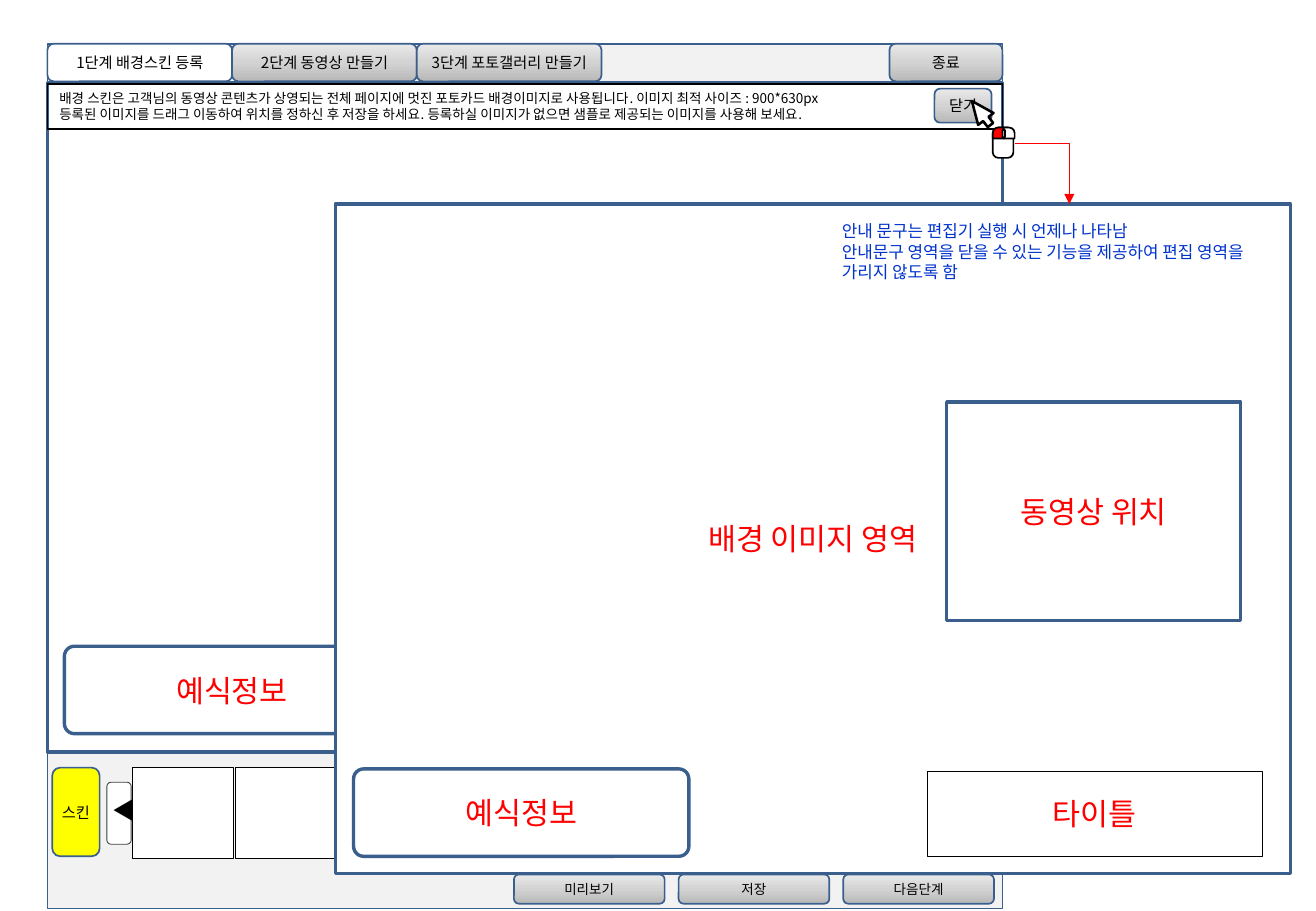
"""Build the storyboard slide of the photo card background editor."""
from copy import deepcopy

from pptx import Presentation
from pptx import util as u
from pptx.dml.color import RGBColor
from pptx.enum import shapes, text
from pptx.oxml import ns
from pptx.oxml.xmlchemy import OxmlElement

FONT = "Noto Sans CJK KR"
BLUE, BLACK, WHITE, RED = "3A5F8C", "000000", "FFFFFF", "FF0000"
BUTTON = ["B8B8B8", "D3D3D3", "E9E9E9"]
RECT = shapes.MSO_SHAPE.RECTANGLE
ROUND = shapes.MSO_SHAPE.ROUNDED_RECTANGLE
CORNER = shapes.MSO_SHAPE.ROUND_1_RECTANGLE
TIGHT = (0, 0.05, 0, 0.05)
CENTER = text.PP_ALIGN.CENTER


def write(shape, lines, size, color, align=CENTER, insets=(0.1, 0.05, 0.1, 0.05), spacing=None):
    frame = shape.text_frame
    anchor = text.MSO_ANCHOR.MIDDLE if align == CENTER else text.MSO_ANCHOR.TOP
    sides = ("margin_left", "margin_top", "margin_right", "margin_bottom")
    settings = {"word_wrap": True, "vertical_anchor": anchor}
    settings.update(zip(sides, map(u.Inches, insets)))
    for name, value in settings.items():
        setattr(frame, name, value)
    for index, line in enumerate(lines):
        paragraph = frame.add_paragraph() if index else frame.paragraphs[0]
        paragraph.alignment = align
        paragraph.line_spacing = spacing
        run = paragraph.add_run()
        run.text = line
        run.font.size = u.Pt(size)
        run.font.name = FONT
        run.font.color.rgb = RGBColor.from_string(color)
        east_asian = OxmlElement("a:ea")
        east_asian.set("typeface", FONT)
        run.font._element.find(ns.qn("a:latin")).addnext(east_asian)


def add_box(parent, kind, box, fill=WHITE, line=BLUE, width=1, adjust=()):
    shape = parent.shapes.add_shape(kind, *map(u.Inches, box))
    shape.shadow.inherit = False
    if fill is None:
        shape.fill.background()
    elif fill == BUTTON:
        shape.fill.gradient()
        shape.fill.gradient_angle = 90
        stops = shape._element.spPr.find(".//" + ns.qn("a:gsLst"))
        stops.insert(1, deepcopy(stops[0]))
        for index, stop in enumerate(shape.fill.gradient_stops):
            stop.position = index / 2
            stop.color.rgb = RGBColor.from_string(BUTTON[index])
    else:
        shape.fill.solid()
        shape.fill.fore_color.rgb = RGBColor.from_string(fill)
    shape.line.color.rgb = RGBColor.from_string(line)
    shape.line.width = u.Pt(width)
    for index, value in enumerate(adjust):
        shape.adjustments[index] = value
    return shape


presentation = Presentation()
presentation.slide_width = u.Inches(10.83)
presentation.slide_height = u.Inches(7.5)
slide = presentation.slides.add_slide(presentation.slide_layouts[6])

add_box(slide, RECT, (0.39, 0.36, 7.86, 7.12), "F2F2F2")

tabs = [
    ("1단계 배경스킨 등록", 0.39, 1.52, WHITE),
    ("2단계 동영상 만들기", 1.91, 1.52, BUTTON),
    ("3단계 포토갤러리 만들기", 3.43, 1.52, BUTTON),
    ("종료", 7.32, 0.93, BUTTON),
]
for label, left, width, fill in tabs:
    tab = add_box(slide, ROUND, (left, 0.36, width, 0.31), fill)
    write(tab, [label], 9, BLACK, insets=TIGHT)

add_box(slide, ROUND, (0.39, 0.68, 7.86, 5.51), width=2, adjust=[0])
wedding_info = add_box(slide, ROUND, (0.53, 5.32, 2.76, 0.72), width=2, adjust=[0.116])
write(wedding_info, ["예식정보"], 18, RED)

skin = add_box(slide, ROUND, (0.43, 6.32, 0.39, 0.73), "FFFF00")
write(skin, ["스킨"], 9, BLACK, insets=TIGHT)

for index, label in enumerate(["미리보기", "저장", "다음단계"]):
    button = add_box(slide, ROUND, (4.23 + index * 1.355, 7.2, 1.24, 0.24), BUTTON)
    write(button, [label], 8, BLACK, insets=TIGHT)

for index in range(2):
    add_box(slide, RECT, (1.09 + index * 0.85, 6.32, 0.83, 0.75), line=BLACK, width=0.5)
previous = add_box(slide, ROUND, (0.88, 6.44, 0.2, 0.51), line="404040", width=0.5)
write(previous, ["◀"], 14, BLACK, insets=(0.04, 0, 0.04, 0.05))

guide = add_box(slide, RECT, (0.39, 0.69, 7.86, 0.37), None, BLACK)
write(guide, [
    "배경 스킨은 고객님의 동영상 콘텐츠가 상영되는 전체 페이지에 멋진 포토카드 배경이미지로 사용됩니다. 이미지 최적 사이즈 : 900*630px",
    "등록된 이미지를 드래그 이동하여 위치를 정하신 후 저장을 하세요. 등록하실 이미지가 없으면 샘플로 제공되는 이미지를 사용해 보세요.",
], 8, BLACK, text.PP_ALIGN.LEFT)
close = add_box(slide, ROUND, (7.69, 0.73, 0.47, 0.28), BUTTON)
write(close, ["닫기"], 9, BLACK, insets=TIGHT)

mouse = slide.shapes.add_group_shape()
add_box(mouse, ROUND, (8.17, 1.05, 0.17, 0.25), line=BLACK, adjust=[0.28])
left_button = add_box(mouse, CORNER, (8.17, 1.05, 0.09, 0.09), RED, BLACK, adjust=[0.5])
left_button._element.spPr.xfrm.set("flipH", "1")
add_box(mouse, CORNER, (8.26, 1.05, 0.09, 0.09), line=BLACK, adjust=[0.5])
add_box(mouse, ROUND, (8.25, 1.07, 0.02, 0.06), line=BLACK)
pointer = add_box(mouse, shapes.MSO_SHAPE.RIGHT_ARROW, (7.95, 0.85, 0.25, 0.16),
                  line=BLACK, width=1.5, adjust=[0.35, 1.17])
pointer.rotation = 232.2

areas = [
    ("배경 이미지 영역", (2.76, 1.68, 7.86, 5.51), BLUE, 2, 0),
    ("동영상 위치", (7.79, 3.31, 2.42, 1.8), BLUE, 2, 0),
    ("예식정보", (2.91, 6.33, 2.76, 0.72), BLUE, 2, 0.116),
    ("타이틀", (7.63, 6.35, 2.76, 0.7), BLACK, 0.25, 0),
]
for label, box, line, width, corner in areas:
    area = add_box(slide, ROUND, box, line=line, width=width, adjust=[corner])
    write(area, [label], 18, RED)

arrow = slide.shapes.add_connector(
    shapes.MSO_CONNECTOR.ELBOW, *map(u.Inches, (8.35, 1.18, 8.8, 1.68)))
arrow.line.color.rgb = RGBColor.from_string(RED)
arrow.line.width = u.Pt(0.75)
properties = arrow._element.spPr
properties.find(ns.qn("a:prstGeom")).set("prst", "bentConnector2")
tail = OxmlElement("a:tailEnd")
tail.set("type", "triangle")
properties.find(ns.qn("a:ln")).append(tail)
properties.append(OxmlElement("a:effectLst"))

note = slide.shapes.add_textbox(*map(u.Inches, (6.83, 1.77, 3.69, 0.61)))
write(note, [
    "안내 문구는 편집기 실행 시 언제나 나타남",
    "안내문구 영역을 닫을 수 있는 기능을 제공하여 편집 영역을 가리지 않도록 함",
], 10, "0033CC", text.PP_ALIGN.LEFT)

presentation.save("out.pptx")
